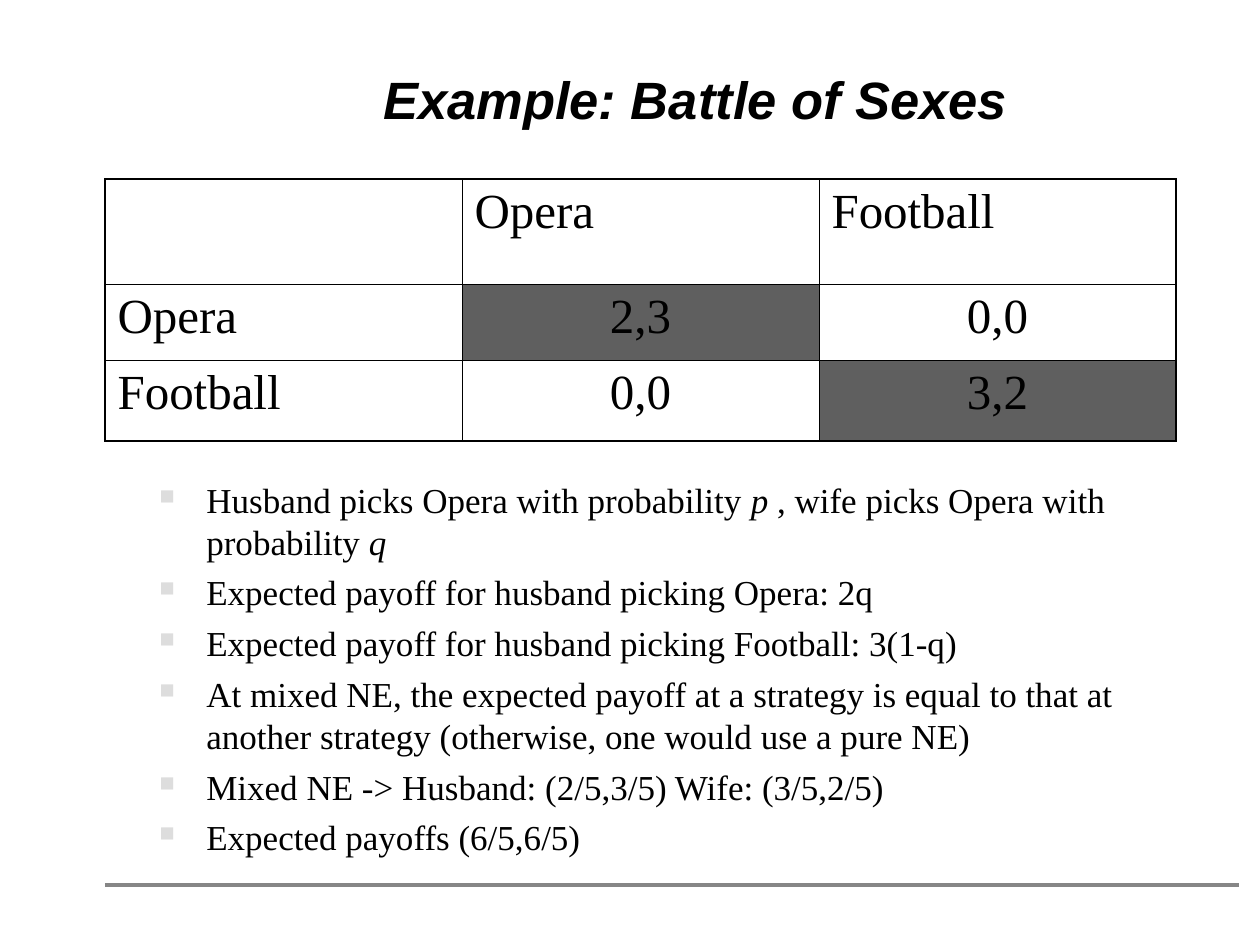
from dataclasses import dataclass

from lxml.etree import SubElement
from pptx import Presentation
from pptx.dml.color import RGBColor
from pptx.enum.shapes import MSO_CONNECTOR
from pptx.enum.text import MSO_ANCHOR, PP_ALIGN
from pptx.oxml.ns import qn
from pptx.util import Emu, Pt


@dataclass(frozen=True)
class Theme:
    ink: str = "000000"
    shade: str = "5F5F5F"
    bullet: str = "DDDDDD"
    rule: str = "868686"
    heading: str = "Arial"
    body: str = "Times New Roman"
    title_size: int = 30
    table_size: int = 28
    body_size: int = 20
    outer: float = 1.08
    inner: float = 0.45


THEME = Theme()
TITLE_FONT = {"name": THEME.heading, "size": Pt(THEME.title_size), "bold": True, "italic": True}
CELL_FONT = {"name": THEME.body, "size": Pt(THEME.table_size)}
BODY_FONT = {"name": THEME.body, "size": Pt(THEME.body_size)}

PAYOFFS = [
    ["", "Opera", "Football"],
    ["Opera", "2,3", "0,0"],
    ["Football", "0,0", "3,2"],
]
EQUILIBRIA = {(1, 1), (2, 2)}
ROW_HEIGHTS = [105, 76, 81]

POINTS = [
    [("Husband picks Opera with probability ", False), ("p", True),
     (" , wife picks Opera with probability ", False), ("q", True)],
    [("Expected payoff for husband picking Opera: 2q", False)],
    [("Expected payoff for husband picking Football: 3(1-q)", False)],
    [("At mixed NE, the expected payoff at a strategy is equal to that at "
      "another strategy (otherwise, one would use a pure NE)", False)],
    [("Mixed NE -> Husband: (2/5,3/5) Wife: (3/5,2/5)", False)],
    [("Expected payoffs (6/5,6/5)", False)],
]


def px(n):
    return Emu(round(n * 914400 / 126))


def rgb(color):
    return RGBColor.from_string(color)


def set_attrs(obj, values):
    for name, value in values.items():
        setattr(obj, name, value)


def add_run(p, text, font):
    r = p.add_run()
    r.text = text
    set_attrs(r.font, font)
    r.font.color.rgb = rgb(THEME.ink)


def add_text(slide, box, anchor):
    tf = slide.shapes.add_textbox(*map(px, box)).text_frame
    set_attrs(tf, {"word_wrap": True, "vertical_anchor": anchor})
    return tf


def add_title(slide, box):
    p = add_text(slide, box, MSO_ANCHOR.BOTTOM).paragraphs[0]
    set_attrs(p, {"alignment": PP_ALIGN.CENTER, "line_spacing": 0.85})
    add_run(p, "Example: Battle of Sexes", TITLE_FONT)


def set_border(cell, side, width):
    ln = SubElement(cell._tc.get_or_add_tcPr(), qn(f"a:{side}"), w=str(Pt(width)))
    fill = SubElement(ln, qn("a:solidFill"))
    SubElement(fill, qn("a:srgbClr"), val=THEME.ink)


def add_payoffs(slide, box):
    rows, cols = len(PAYOFFS), len(PAYOFFS[0])
    table = slide.shapes.add_table(rows, cols, *map(px, box)).table
    set_attrs(table, {"first_row": False, "horz_banding": False})
    for col in table.columns:
        col.width = px(box[2] // cols)
    for i, height in enumerate(ROW_HEIGHTS):
        table.rows[i].height = px(height)
        for j, text in enumerate(PAYOFFS[i]):
            cell = table.cell(i, j)
            edges = {"lnL": j == 0, "lnR": j == cols - 1, "lnT": i == 0, "lnB": i == rows - 1}
            for side, outside in edges.items():
                set_border(cell, side, THEME.outer if outside else THEME.inner)
            if (i, j) in EQUILIBRIA:
                cell.fill.solid()
                cell.fill.fore_color.rgb = rgb(THEME.shade)
            else:
                cell.fill.background()
            p = cell.text_frame.paragraphs[0]
            p.alignment = PP_ALIGN.CENTER if i and j else PP_ALIGN.LEFT
            if text:
                add_run(p, text, CELL_FONT)


def set_bullet(p, indent):
    pPr = p._p.get_or_add_pPr()
    pPr.set("marL", str(px(indent)))
    pPr.set("indent", str(-px(indent)))
    color = SubElement(pPr, qn("a:buClr"))
    SubElement(color, qn("a:srgbClr"), val=THEME.bullet)
    SubElement(pPr, qn("a:buSzPct"), val="60000")
    SubElement(pPr, qn("a:buChar"), char="■")


def add_points(slide, box):
    tf = add_text(slide, box, MSO_ANCHOR.TOP)
    for i, runs in enumerate(POINTS):
        p = tf.add_paragraph() if i else tf.paragraphs[0]
        set_bullet(p, 47)
        p.space_before = Pt(5 if i else 0)
        for text, italic in runs:
            add_run(p, text, {**BODY_FONT, "italic": italic})


def add_rule(slide, box):
    x, y, w, h = box
    line = slide.shapes.add_connector(MSO_CONNECTOR.STRAIGHT, *map(px, (x, y, x + w, y + h)))
    line.line.width = Pt(2.25)
    line.line.color.rgb = rgb(THEME.rule)
    SubElement(line._element.spPr, qn("a:effectLst"))


def main():
    prs = Presentation()
    set_attrs(prs, {"slide_width": px(1260), "slide_height": px(945)})
    slide = prs.slides.add_slide(prs.slide_layouts[6])
    add_rule(slide, (105, 885, 1134, 0))
    add_title(slide, (159, 29, 1073, 107))
    add_payoffs(slide, (105, 179, 1071, 262))
    add_points(slide, (147, 472, 1071, 368))
    prs.save("out.pptx")


if __name__ == "__main__":
    main()
